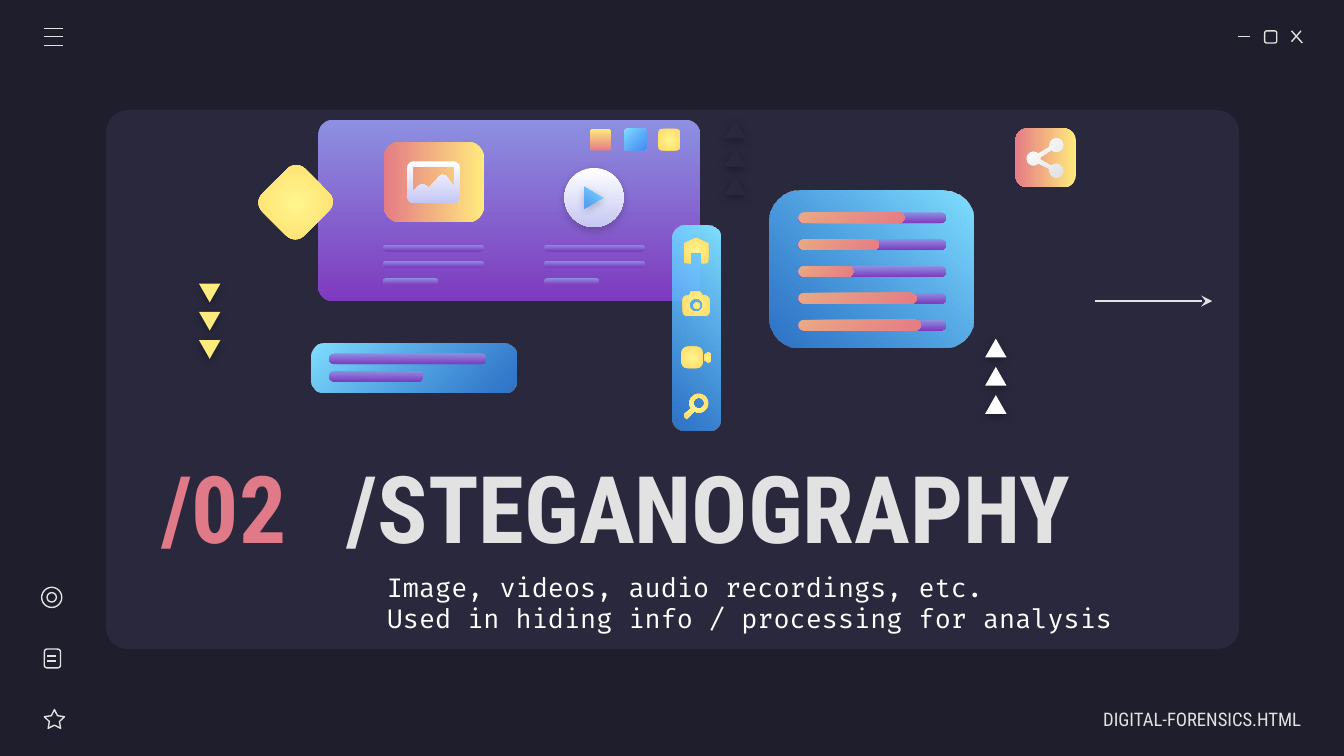
"""Build the steganography section slide of a digital forensics deck."""
from math import cos, radians, sin

from lxml.etree import SubElement
from pptx import Presentation
from pptx.dml.color import RGBColor
from pptx.enum.shapes import MSO_CONNECTOR, MSO_SHAPE
from pptx.enum.text import MSO_ANCHOR, MSO_AUTO_SIZE, PP_ALIGN
from pptx.oxml.ns import qn
from pptx.util import Inches, Pt

NIGHT = RGBColor(0x1E, 0x1E, 0x2C)
SLATE = RGBColor(0x29, 0x28, 0x3D)
MIST = RGBColor(0xE2, 0xE2, 0xE2)
ROSE = RGBColor(0xE0, 0x7A, 0x88)
CORAL = RGBColor(0xE5, 0x7C, 0x85)
PEACH = RGBColor(0xE9, 0xA9, 0x84)
LEMON = RGBColor(0xFF, 0xEA, 0x7D)
CREAM = RGBColor(0xFF, 0xF6, 0x8E)
AMBER = RGBColor(0xFF, 0xD9, 0x66)
LILAC = RGBColor(0x8D, 0x90, 0xE1)
GRAPE = RGBColor(0x7E, 0x3B, 0xBE)
CYAN = RGBColor(0x80, 0xDF, 0xFF)
AZURE = RGBColor(0x31, 0x8F, 0xFA)
PEARL = RGBColor(0xC5, 0xC7, 0xF4)
WHITE = RGBColor(0xFF, 0xFF, 0xFF)
BLACK = RGBColor(0, 0, 0)

VIOLET = (LILAC, GRAPE, 90)
SUNSET = (LEMON, CORAL, 90)
BLUSH = (PEACH, CORAL, 45)
AQUA = (CYAN, AZURE, 45, 72)
GOLD = (CREAM, AMBER, None)
SILK = (WHITE, PEARL, 90)
STEEL = (WHITE, MIST, 45)

ROUND = MSO_SHAPE.ROUNDED_RECTANGLE
OVAL = MSO_SHAPE.OVAL
WEDGE = MSO_SHAPE.ISOSCELES_TRIANGLE
HEAD = "Roboto Condensed"
CODE = "Fira Code"


def arc(x, y, r, start, end, steps=24):
    """Return points along a circular arc, with angles in degrees."""
    turns = [radians(start + (end - start) * i / steps) for i in range(steps + 1)]
    return [(x + r * cos(t), y + r * sin(t)) for t in turns]


def block(left, top, right, low, r):
    """Return the outline of a rectangle with round corners."""
    ends = [(right - r, top + r, -90), (right - r, low - r, 0),
            (left + r, low - r, 90), (left + r, top + r, 180)]
    return [p for x, y, a in ends for p in arc(x, y, r, a, a + 90, 6)]


def write(frame, text, size=14, font=HEAD, color=MIST, bold=False,
          align=PP_ALIGN.LEFT, anchor=MSO_ANCHOR.MIDDLE, indent=0,
          pads=(0.1, 0.1, 0.1, 0.1)):
    """Fill a text frame, one paragraph for each line of text."""
    frame.word_wrap = True
    frame.auto_size = MSO_AUTO_SIZE.NONE
    frame.vertical_anchor = anchor
    (frame.margin_left, frame.margin_top,
     frame.margin_right, frame.margin_bottom) = map(Inches, pads)
    frame.text = text
    for para in frame.paragraphs:
        para.alignment = align
        props = para._p.get_or_add_pPr()
        props.set("marL", str(Inches(indent)))
        props.set("indent", "0")
        for run in para.runs:
            run.font.size = Pt(size)
            run.font.name = font
            run.font.bold = bold
            run.font.color.rgb = color


class Board:
    """Hold the line style and the current slide."""

    def __init__(self, slide, ink=MIST, width=0.75):
        self.slide, self.shapes = slide, slide.shapes
        self.ink, self.width = ink, Pt(width)

    def paint(self, shape, fill, shade=None):
        """Fill a shape with a colour or gradient; None leaves an outline."""
        shape.shadow.inherit = False
        if fill is None:
            shape.fill.background()
            shape.line.color.rgb = self.ink
            shape.line.width = self.width
            return shape
        shape.line.fill.background()
        if isinstance(fill, RGBColor):
            shape.fill.solid()
            shape.fill.fore_color.rgb = fill
        else:
            self.blend(shape, *fill)
        if shade:
            color, alpha = shade
            holder = shape._element.spPr.find(qn("a:effectLst"))
            cast = SubElement(holder, qn("a:outerShdw"), blurRad=str(Pt(4.5)),
                              dist=str(Pt(1.5)), dir="5400000",
                              algn="bl", rotWithShape="0")
            tint = SubElement(cast, qn("a:srgbClr"), val=str(color))
            SubElement(tint, qn("a:alpha"), val=str(alpha * 1000))
        return shape

    def blend(self, shape, first, last, angle, alpha=100):
        """Give a shape a linear gradient, or a circular one without angle."""
        shape.fill.gradient()
        stops = shape.fill.gradient_stops
        stops[0].color.rgb, stops[1].color.rgb = first, last
        grad = shape._element.spPr.find(qn("a:gradFill"))
        if alpha < 100:
            tint = grad.findall(".//" + qn("a:srgbClr"))[1]
            SubElement(tint, qn("a:alpha"), val=str(alpha * 1000))
        if angle is not None:
            shape.fill.gradient_angle = 360 - angle
            return
        grad.remove(grad.find(qn("a:lin")))
        glow = SubElement(grad, qn("a:path"), path="circle")
        SubElement(glow, qn("a:fillToRect"), {side: "50000" for side in "ltrb"})

    def shape(self, kind, left, top, width, height, fill=None, adj=None, turn=0, shade=None):
        """Add a preset shape."""
        item = self.shapes.add_shape(kind, *map(Inches, (left, top, width, height)))
        if adj is not None:
            item.adjustments[0] = adj
        item.rotation = turn
        return self.paint(item, fill, shade)

    def icon(self, fill, *rings):
        """Add a closed outline; each further ring cuts a hole."""
        rings = [[(Inches(x), Inches(y)) for x, y in ring] for ring in rings]
        pen = self.shapes.build_freeform(*rings[0][0])
        pen.add_line_segments(rings[0][1:], close=True)
        for ring in rings[1:]:
            pen.move_to(*ring[0])
            pen.add_line_segments(ring[1:], close=True)
        return self.paint(pen.convert_to_shape(), fill)

    def line(self, x1, y1, x2, y2, tip=None):
        """Add a straight line, with an arrowhead if a tip is named."""
        item = self.shapes.add_connector(MSO_CONNECTOR.STRAIGHT, *map(Inches, (x1, y1, x2, y2)))
        item.line.color.rgb = self.ink
        item.line.width = self.width
        if tip:
            SubElement(item.line._get_or_add_ln(), qn("a:tailEnd"), type=tip)
        SubElement(item._element.spPr, qn("a:effectLst"))

    def bar(self, left, top, width, height, fill=VIOLET):
        """Add a bar with fully round ends."""
        self.shape(ROUND, left, top, width, height, fill, 0.5)

    def title(self, text, left, top, width, height, **form):
        """Move the title to the front, place it and format it."""
        item = self.shapes.title
        self.shapes._spTree.append(item._element)
        item.left, item.top, item.width, item.height = map(Inches, (left, top, width, height))
        write(item.text_frame, text, **form)

    def text(self, text, left, top, width, height, **form):
        """Add a text box."""
        item = self.shapes.add_textbox(*map(Inches, (left, top, width, height)))
        write(item.text_frame, text, **form)


def frame(board):
    """Draw the panel and the window controls around it."""
    board.shape(ROUND, 0.79, 0.82, 8.43, 4.01, SLATE, 0.04)
    board.line(9.21, 0.27, 9.3, 0.27)
    board.shape(ROUND, 9.41, 0.23, 0.09, 0.09)
    board.line(9.61, 0.23, 9.69, 0.32)
    board.line(9.68, 0.23, 9.61, 0.31)
    for y in (0.21, 0.34, 0.27):
        board.line(0.33, y, 0.47, y)
    board.shape(MSO_SHAPE.STAR_5_POINT, 0.33, 5.28, 0.15, 0.14, adj=0.25)
    board.shape(ROUND, 0.33, 4.83, 0.12, 0.14)
    for y in (4.88, 4.92):
        board.line(0.35, y, 0.42, y)
    board.shape(OVAL, 0.31, 4.37, 0.15, 0.15)
    board.shape(OVAL, 0.35, 4.41, 0.07, 0.07)


def scene(board):
    """Draw the browser, the cards and their icons."""
    dim = (BLACK, 30)
    board.line(8.15, 2.24, 9.02, 2.24, "stealth")
    board.shape(ROUND, 2.37, 0.89, 2.84, 1.35, VIOLET, 0.08)
    board.shape(ROUND, 2.93, 0.98, 0.6, 0.75, SUNSET, 0.21, 90)
    board.shape(OVAL, 4.2, 1.25, 0.44, 0.44, SILK, shade=(NIGHT, 31))
    for left, top, fill, turn in ((1.48, 2.11, LEMON, 180), (7.33, 2.52, WHITE, 0),
                                  (5.39, 0.89, SLATE, 0)):
        for i in range(3):
            board.shape(WEDGE, left, top + i * 0.21, 0.16, 0.14, fill, turn=turn, shade=dim)
    board.shape(ROUND, 2.32, 2.56, 1.52, 0.36, AQUA, 0.25)
    board.shape(ROUND, 5.9, 1.24, 1.17, 1.52, AQUA, 0.19, 90)
    for i, width in enumerate((0.79, 0.6, 0.41, 0.88, 0.91)):
        board.bar(5.94, 1.58 + i * 0.2, 1.1, 0.08)
        board.bar(5.94, 1.58 + i * 0.2, width, 0.08, BLUSH)
    for left, fill in ((4.39, SUNSET), (4.65, AQUA), (4.9, GOLD)):
        board.shape(ROUND, left, 0.96, 0.16, 0.16, fill, 0.15)
    board.shape(ROUND, 1.98, 1.28, 0.44, 0.45, GOLD, 0.21, 45)
    board.shape(ROUND, 4.42, 2.26, 1.52, 0.36, AQUA, 0.25, 90)
    for left in (4.05, 2.85):
        for top, width in ((1.82, 0.75), (1.94, 0.75), (2.07, 0.41)):
            board.bar(left, top, width, 0.05)
    board.shape(ROUND, 7.56, 0.95, 0.44, 0.45, SUNSET, 0.21, 90)
    board.shape(WEDGE, 4.34, 1.4, 0.16, 0.14, AQUA, turn=90, shade=dim)
    board.icon(GOLD, [(5.18, 1.77), (5.27, 1.81), (5.27, 1.96), (5.22, 1.96), (5.22, 1.88),
                      (5.14, 1.88), (5.14, 1.96), (5.09, 1.96), (5.09, 1.81)])
    body = block(5.08, 2.2, 5.28, 2.35, 0.03)
    board.icon(GOLD, body + [(5.13, 2.2), (5.14, 2.17), (5.21, 2.17), (5.23, 2.2)],
               arc(5.18, 2.27, 0.05, 0, 360))
    board.shape(OVAL, 5.16, 2.25, 0.05, 0.05, GOLD)
    board.shape(ROUND, 5.07, 2.58, 0.16, 0.16, GOLD, 0.28)
    board.icon(GOLD, [(5.24, 2.64), (5.27, 2.62), (5.29, 2.63),
                      (5.29, 2.69), (5.27, 2.7), (5.24, 2.68)])
    board.icon(GOLD, arc(5.2, 3, 0.07, 120, -215)
               + [(5.09, 3.08), (5.09, 3.1), (5.11, 3.12), (5.12, 3.11)],
               arc(5.2, 3, 0.04, 0, 360))
    board.icon(SILK, block(3.03, 1.2, 3.42, 1.51, 0.05),
               [(3.07, 1.24), (3.38, 1.24), (3.38, 1.39), (3.32, 1.31), (3.29, 1.3),
                (3.27, 1.31), (3.19, 1.4), (3.17, 1.38), (3.14, 1.37), (3.12, 1.38),
                (3.07, 1.43)])
    board.icon(STEEL, arc(7.86, 1.08, 0.05, 135, -195) + arc(7.69, 1.18, 0.05, -45, -315)
               + arc(7.86, 1.27, 0.05, -165, -495) + arc(7.69, 1.18, 0.05, 10, -10))
    board.bar(2.45, 2.63, 1.17, 0.08)
    board.bar(2.45, 2.76, 0.7, 0.08)


def main():
    """Build and save the slide."""
    deck = Presentation()
    deck.slide_width = Inches(10)
    deck.slide_height = deck.slide_width * 9 // 16
    slide = deck.slides.add_slide(deck.slide_layouts[5])
    slide.background.fill.solid()
    slide.background.fill.fore_color.rgb = NIGHT
    board = Board(slide)
    frame(board)
    scene(board)
    board.title("/STEGANOGRAPHY", 2.48, 3.33, 5.9, 0.87, size=50, bold=True)
    board.text("/02", 1.1, 3.33, 1.38, 0.87, size=50, bold=True, color=ROSE)
    board.text("DIGITAL-FORENSICS.HTML", 7.84, 5.2, 1.84, 0.3, size=10,
               align=PP_ALIGN.RIGHT, pads=(0.1, 0.1, 0, 0.1))
    board.text("Image, videos, audio recordings, etc.\n"
               "Used in hiding info / processing for analysis", 2.13, 4.2, 6.94, 0.57,
               font=CODE, color=WHITE, anchor=MSO_ANCHOR.TOP, indent=0.65,
               pads=(0.1, 0.05, 0.1, 0.05))
    deck.save("out.pptx")


if __name__ == "__main__":
    main()
